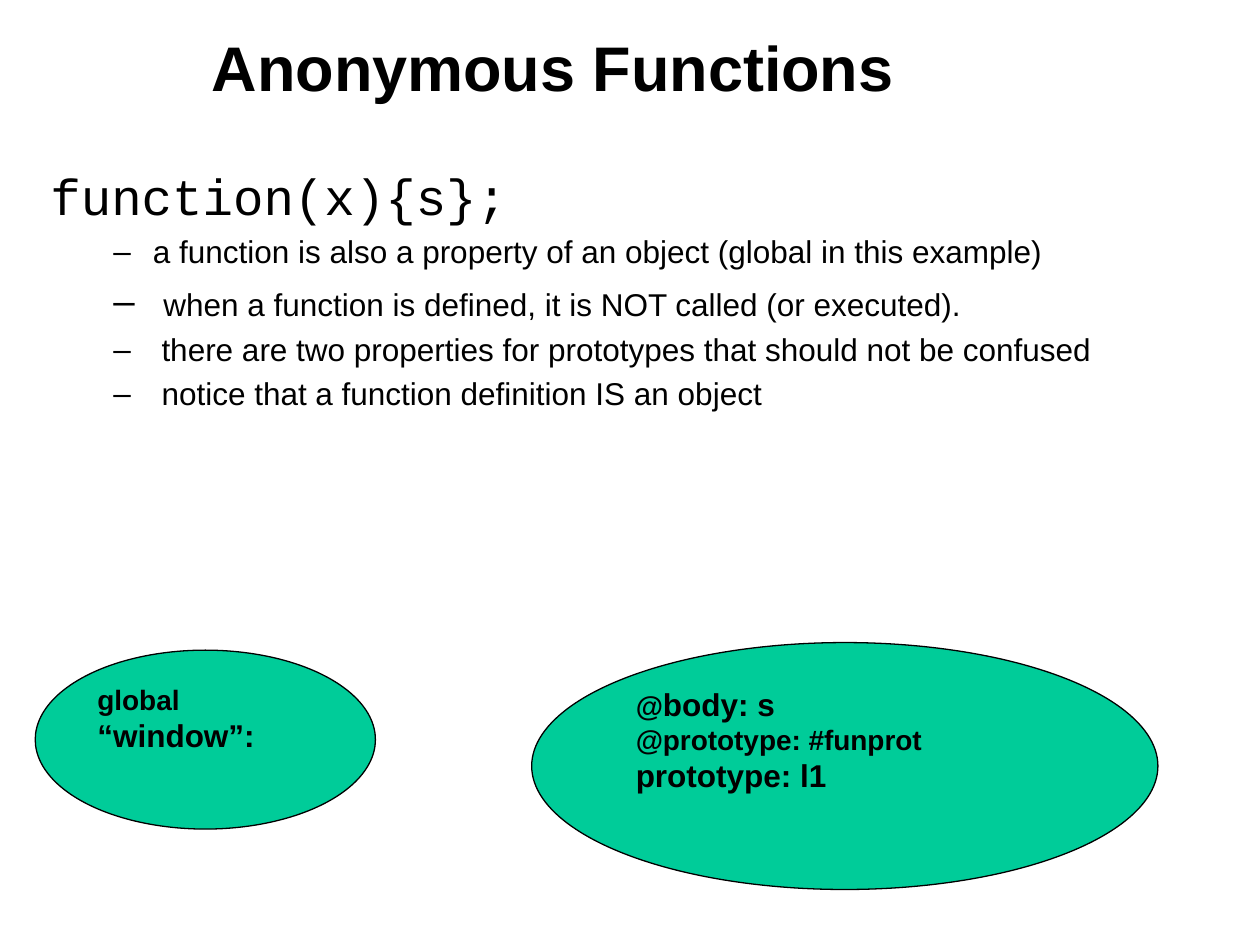
"""Build the Anonymous Functions slide."""
import dataclasses
import typing

import lxml.etree
import pptx
import pptx.dml.color
import pptx.enum.shapes
import pptx.enum.text
import pptx.util

Inches = pptx.util.Inches
Pt = pptx.util.Pt
ALIGN = pptx.enum.text.PP_ALIGN
ANCHOR = pptx.enum.text.MSO_ANCHOR
BLACK = "000000"
GREEN = "00CC99"


@dataclasses.dataclass(frozen=True)
class Run:
    """Text with its format."""
    text: str
    size: float
    bold: bool = False
    font: str = "Arial"


@dataclasses.dataclass(frozen=True)
class Line:
    """A paragraph of runs at an outline level."""
    runs: tuple[Run, ...]
    level: int = 0


@dataclasses.dataclass(frozen=True)
class ObjectEllipse:
    """An ellipse that shows an object and its properties."""
    box: tuple[float, float, float, float]
    lines: tuple[Line, ...]


TITLE = (Line((Run("Anonymous Functions", 36, True),)),)
BODY = (
    Line((Run("function(x){s};", 29, font="Courier New"),)),
    Line((Run("a function is also a property of an object (global in this example)", 18),), 1),
    Line((Run(" ", 22), Run("when a function is defined, it is NOT called (or executed).", 18)), 1),
    Line((Run(" there are two properties for prototypes that should not be confused", 18),), 1),
    Line((Run(" notice that a function definition IS an object", 18),), 1),
)
ELLIPSES = (
    ObjectEllipse((0.28, 5.16, 2.7, 1.42), (
        Line((Run("global", 16, True),)),
        Line((Run("“window”:", 18, True),)),
    )),
    ObjectEllipse((4.22, 5.1, 4.97, 1.96), (
        Line((Run("@", 16, True), Run("body: s", 18, True))),
        Line((Run("@prototype: #funprot", 16, True),)),
        Line((Run("prototype: l1", 18, True),)),
    )),
)


def color(value: str) -> pptx.dml.color.RGBColor:
    """Turn a hex string into a colour."""
    return pptx.dml.color.RGBColor.from_string(value)


def set_format(target: typing.Any, values: dict[str, typing.Any]) -> None:
    """Set each attribute from the format values."""
    for name, value in values.items():
        setattr(target, name, value)


def place(shape: typing.Any, box: tuple[float, float, float, float]) -> None:
    """Move and size a shape in inches."""
    set_format(shape, dict(zip(("left", "top", "width", "height"), map(Inches, box))))


def write(shape: typing.Any, lines: tuple[Line, ...], anchor: typing.Any) -> None:
    """Fill a shape with left-aligned paragraphs."""
    frame = shape.text_frame
    set_format(frame, {"word_wrap": True, "vertical_anchor": anchor,
                       "auto_size": pptx.enum.text.MSO_AUTO_SIZE.NONE})
    for index, line in enumerate(lines):
        paragraph = frame.add_paragraph() if index else frame.paragraphs[0]
        set_format(paragraph, {"level": line.level, "alignment": ALIGN.LEFT})
        for part in line.runs:
            run = paragraph.add_run()
            run.text = part.text
            set_format(run.font, {"size": Pt(part.size), "bold": part.bold, "name": part.font})
            run.font.color.rgb = color(BLACK)


def remove_bullet(paragraph: typing.Any) -> None:
    """Hide the bullet of a paragraph."""
    properties = paragraph._p.get_or_add_pPr()
    lxml.etree.SubElement(properties, pptx.oxml.ns.qn("a:buNone"))


def add_ellipse(slide: typing.Any, ellipse: ObjectEllipse) -> None:
    """Draw one object ellipse."""
    shape = slide.shapes.add_shape(
        pptx.enum.shapes.MSO_SHAPE.OVAL, *map(Inches, ellipse.box))
    shape.shadow.inherit = False
    shape.fill.solid()
    shape.fill.fore_color.rgb = color(GREEN)
    shape.line.color.rgb = color(BLACK)
    shape.line.width = Pt(0.75)
    write(shape, ellipse.lines, ANCHOR.TOP)


def main() -> None:
    """Build and save the presentation."""
    presentation = pptx.Presentation()
    set_format(presentation, {"slide_width": Inches(10), "slide_height": Inches(7.5)})
    slide = presentation.slides.add_slide(presentation.slide_layouts[1])
    title, body = slide.shapes.title, slide.placeholders[1]
    place(title, (1.58, 0.08, 8.26, 0.9))
    write(title, TITLE, ANCHOR.MIDDLE)
    place(body, (0.3, 1.26, 9.46, 5.16))
    write(body, BODY, ANCHOR.TOP)
    remove_bullet(body.text_frame.paragraphs[0])
    for ellipse in ELLIPSES:
        add_ellipse(slide, ellipse)
    presentation.save("out.pptx")


main()
